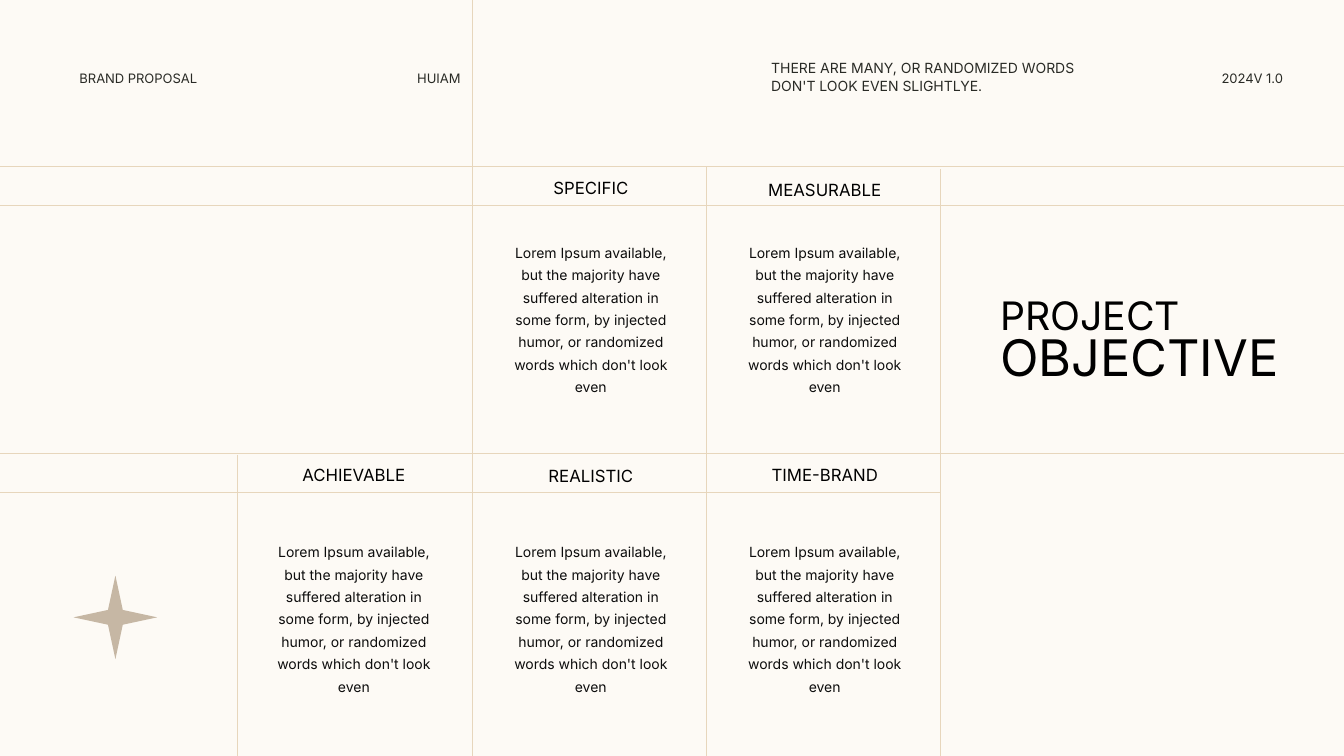
from dataclasses import dataclass

from lxml.etree import SubElement
from pptx import Presentation
from pptx.dml.color import RGBColor
from pptx.enum.shapes import MSO_CONNECTOR, MSO_SHAPE
from pptx.enum.text import MSO_AUTO_SIZE, PP_ALIGN
from pptx.oxml.ns import qn
from pptx.util import Inches, Pt


@dataclass(frozen=True)
class Theme:
    font: str = "Inter"
    paper: str = "FDFAF5"
    rule: str = "E7D6BC"
    star: str = "C6B7A4"
    note: str = "292A25"
    body: str = "0D0D0D"
    ink: str = "000000"
    tag_size: int = 16
    text_size: int = 10
    head_size: int = 12
    small_title: int = 28
    big_title: int = 36
    rule_width: float = 0.5


THEME = Theme()
WIDTH, HEIGHT = 13.33, 7.5
LOREM = ("Lorem Ipsum available, but the majority have suffered alteration in "
         "some form, by injected humor, or randomized words which don't look even")

# Running text: words, box, alignment
TAGS = [
    ("2024V 1.0 ", (11.82, 0.62, 1.04, 0.28), PP_ALIGN.RIGHT),
    ("BRAND PROPOSAL", (0.69, 0.62, 1.83, 0.28), PP_ALIGN.LEFT),
    ("HUIAM", (4.04, 0.62, 0.76, 0.28), PP_ALIGN.LEFT),
]
# Grid rules: start x, start y, end x, end y
RULES = [(0, y, right, y) for y, right in
         ((1.65, WIDTH), (2.04, WIDTH), (4.5, WIDTH), (4.88, 9.33))]
RULES += [(x, top, x, HEIGHT) for x, top in
          ((2.35, 4.51), (4.69, 0), (7.01, 1.65), (9.33, 1.68))]
# Goals: heading, centre x, heading top, body top
GOALS = [
    ("SPECIFIC", 5.86, 1.69, 2.32),
    ("MEASURABLE", 8.18, 1.71, 2.32),
    ("ACHIEVABLE", 3.51, 4.54, 5.29),
    ("REALISTIC", 5.86, 4.55, 5.29),
    ("TIME-BRAND", 8.18, 4.54, 5.29),
]


def apply(target, values):
    for name, value in values.items():
        setattr(target, name, value)


def color(code):
    return RGBColor.from_string(code)


def add_text(slide, words, box, size, ink, align=PP_ALIGN.LEFT, pitch=None, lift=0):
    """Add one paragraph; pitch is line spacing in points, lift a raised baseline in %."""
    frame = slide.shapes.add_textbox(*map(Inches, box)).text_frame
    apply(frame, {"word_wrap": True, "auto_size": MSO_AUTO_SIZE.SHAPE_TO_FIT_TEXT})
    para = frame.paragraphs[0]
    apply(para, {"alignment": align, "line_spacing": Pt(pitch) if pitch else None})
    run = para.add_run()
    run.text = words
    apply(run.font, {"name": THEME.font, "size": Pt(size)})
    run.font.color.rgb = color(ink)
    if lift:
        run._r.get_or_add_rPr().set("baseline", str(lift * 1000))


def add_rule(slide, ends):
    rule = slide.shapes.add_connector(MSO_CONNECTOR.STRAIGHT, *map(Inches, ends))
    rule.line.color.rgb = color(THEME.rule)
    rule.line.width = Pt(THEME.rule_width)
    SubElement(rule._element.spPr, qn("a:effectLst"))


def add_star(slide, box):
    star = slide.shapes.add_shape(MSO_SHAPE.STAR_4_POINT, *map(Inches, box))
    star.shadow.inherit = False
    star.fill.solid()
    star.fill.fore_color.rgb = color(THEME.star)
    star.line.fill.background()


def add_goal(slide, head, center, head_top, body_top):
    for words, width, top, height, size, ink in (
        (head, 1.45, head_top, 0.31, THEME.head_size, THEME.ink),
        (LOREM, 1.76, body_top, 1.65, THEME.text_size, THEME.body),
    ):
        box = (center - width / 2, top, width, height)
        add_text(slide, words, box, size, ink, PP_ALIGN.CENTER, pitch=16)


def main():
    deck = Presentation()
    apply(deck, {"slide_width": Inches(WIDTH), "slide_height": Inches(HEIGHT)})
    slide = deck.slides.add_slide(deck.slide_layouts[6])
    slide.background.fill.solid()
    slide.background.fill.fore_color.rgb = color(THEME.paper)

    for words, box, align in TAGS:
        add_text(slide, words, box, THEME.tag_size, THEME.note, align, lift=30)
    add_text(slide, "THERE ARE MANY, OR RANDOMIZED WORDS DON'T LOOK EVEN SLIGHTLYE.",
             (7.55, 0.53, 3.38, 0.45), THEME.text_size, THEME.note, pitch=13)
    for ends in RULES:
        add_rule(slide, ends)
    add_text(slide, "OBJECTIVE", (9.82, 3.02, 3.27, 0.8),
             THEME.big_title, THEME.ink, pitch=55)
    add_text(slide, "PROJECT", (9.82, 2.54, 2.11, 0.77),
             THEME.small_title, THEME.ink, pitch=55)
    for goal in GOALS:
        add_goal(slide, *goal)
    add_star(slide, (0.73, 5.71, 0.83, 0.83))
    deck.save("out.pptx")


if __name__ == "__main__":
    main()
